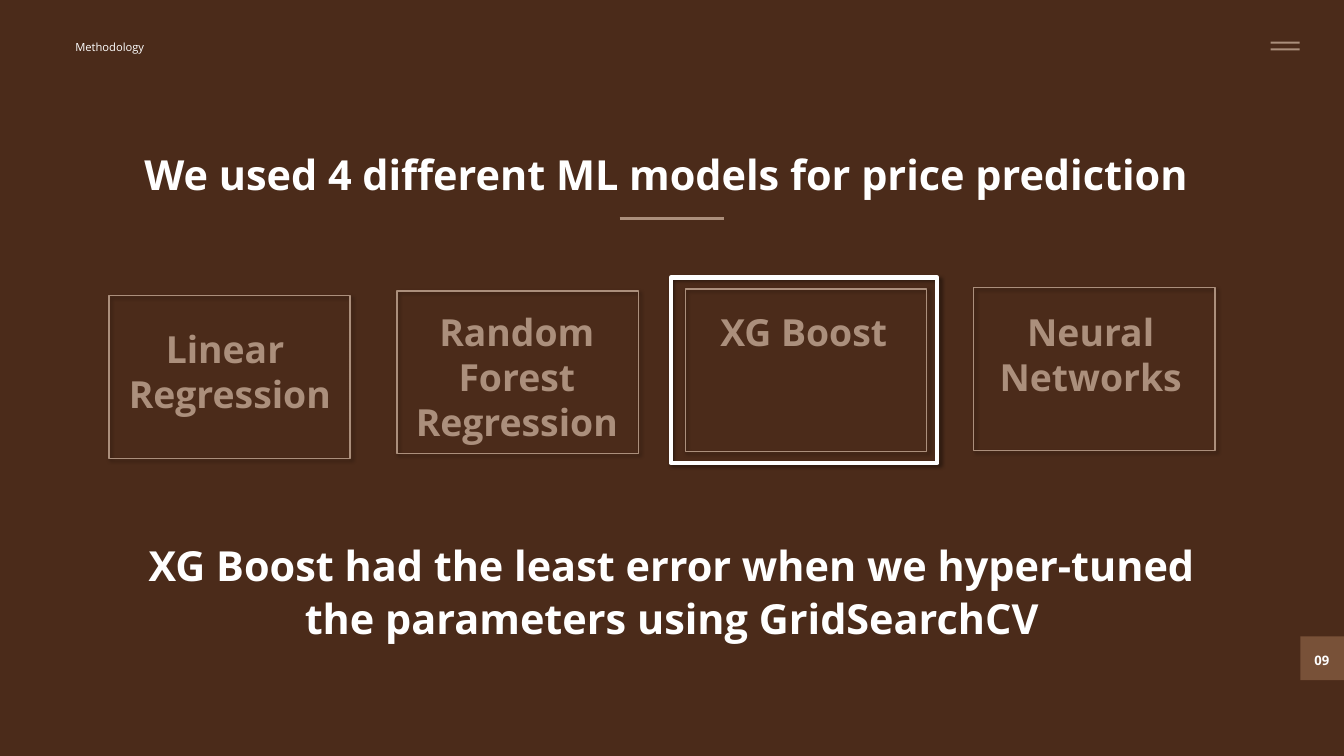
"""Build the methodology slide that compares four price prediction models."""
from lxml.etree import SubElement
from pptx import Presentation
from pptx.dml.color import RGBColor
from pptx.enum.shapes import MSO_CONNECTOR, MSO_SHAPE
from pptx.enum.text import MSO_ANCHOR, MSO_AUTO_SIZE, PP_ALIGN
from pptx.oxml import parse_xml
from pptx.oxml.ns import nsdecls, qn
from pptx.util import Inches, Pt

SECTION = "Methodology"
HEADLINE = "We used 4 different ML models for price prediction"
CONCLUSION = ("XG Boost had the least error when we hyper-tuned "
              "the parameters using GridSearchCV")
PAGE_NUMBER = "09"
# name lines, label row, frame row
MODELS = [
    (["Linear ", "Regression"], 4.86, 4.4),
    (["Random Forest Regression"], 4.6, 4.33),
    (["XG Boost"], 4.6, 4.3),
    (["Neural Networks"], 4.6, 4.28),
]

FONT = "Open Sans"
BROWN, TAN, BADGE, WHITE = "4B2B1A", "AB8F7C", "785138", "FFFFFF"
COLUMNS, ROWS = 20, 11.25
LABEL_LEFT, LABEL_STEP, LABEL_WIDTH, LABEL_LINE = 1.71, 4.27, 3.42, 0.67
FRAME_LEFT, FRAME_STEP, FRAME_WIDTH, FRAME_HEIGHT = 1.62, 4.29, 3.59, 2.42

deck = Presentation()
deck.slide_width, deck.slide_height = Inches(COLUMNS), Inches(ROWS)
slide = deck.slides.add_slide(deck.slide_layouts[5])
shapes = slide.shapes


def grid(*cells):
    return [int(cell * deck.slide_width / COLUMNS) for cell in cells]


def paint(color_format, color):
    color_format.rgb = RGBColor.from_string(color)


def write(holder, lines, size, color=WHITE, bold=True, align=PP_ALIGN.CENTER, leading=None):
    frame = holder.text_frame
    frame.margin_left = frame.margin_right = frame.margin_top = frame.margin_bottom = 0
    frame.auto_size = MSO_AUTO_SIZE.NONE
    frame.vertical_anchor = MSO_ANCHOR.TOP
    frame.word_wrap = True
    frame.text = "\n".join(lines)
    for paragraph in frame.paragraphs:
        paragraph.alignment = align
        paragraph.space_before = Pt(0)
        if leading:
            paragraph.line_spacing = Pt(leading)
        for run in paragraph.runs:
            run.font.name, run.font.size, run.font.bold = FONT, Pt(size), bold
            paint(run.font.color, color)


def add_text(cells, lines, size, **style):
    write(shapes.add_textbox(*grid(*cells)), lines, size, **style)


def add_block(cells, color):
    block = shapes.add_shape(MSO_SHAPE.RECTANGLE, *grid(*cells))
    block.shadow.inherit = False
    block.fill.solid()
    paint(block.fill.fore_color, color)
    block.line.fill.background()


def add_frame(cells, color, weight):
    frame = shapes.add_shape(MSO_SHAPE.RECTANGLE, *grid(*cells))
    frame.fill.background()
    frame.line.width = Pt(weight)
    paint(frame.line.color, color)
    frame.shadow.inherit = False
    frame._element.spPr.find(qn("a:effectLst")).append(parse_xml(
        f'<a:outerShdw {nsdecls("a")} blurRad="{Pt(4)}" dist="{Pt(3)}" dir="2700000" '
        'algn="tl" rotWithShape="0"><a:srgbClr val="000000"><a:alpha val="40000"/>'
        '</a:srgbClr></a:outerShdw>'))


slide.background.fill.solid()
paint(slide.background.fill.fore_color, BROWN)

for menu_row in (0.62, 0.72):
    add_block((18.91, menu_row, 0.43, 0.03), TAN)
add_block((19.35, 9.47, 0.65, 0.65), BADGE)
add_text((19.44, 9.67, 0.46, 0.26), [PAGE_NUMBER], 14, leading=19.6)
add_text((1.12, 0.57, 3.08, 0.22), [SECTION], 12, bold=False,
         align=PP_ALIGN.LEFT, leading=16.8)

headline = shapes.title
headline.left, headline.top, headline.width, headline.height = grid(2.07, 2.17, 15.7, 0.75)
write(headline, [HEADLINE], 44.4, leading=56.4)

underline = shapes.add_connector(MSO_CONNECTOR.STRAIGHT, *grid(9.22, 3.25, 10.78, 3.25))
underline.line.width = Pt(3)
paint(underline.line.color, TAN)
SubElement(underline._element.spPr, qn("a:effectLst"))

for column, (name, label_row, frame_row) in enumerate(MODELS):
    label_lines = max(len(name), len(name[0].split()))
    add_text((LABEL_LEFT + column * LABEL_STEP, label_row, LABEL_WIDTH,
              label_lines * LABEL_LINE), name, 40, color=TAN)
    add_frame((FRAME_LEFT + column * FRAME_STEP, frame_row, FRAME_WIDTH, FRAME_HEIGHT),
              TAN, 1.5)
add_frame((9.98, 4.13, 3.97, 2.76), WHITE, 4.5)

add_text((2.15, 8, 15.7, 1.54), [CONCLUSION], 44.4, leading=56.4)

deck.save("out.pptx")
